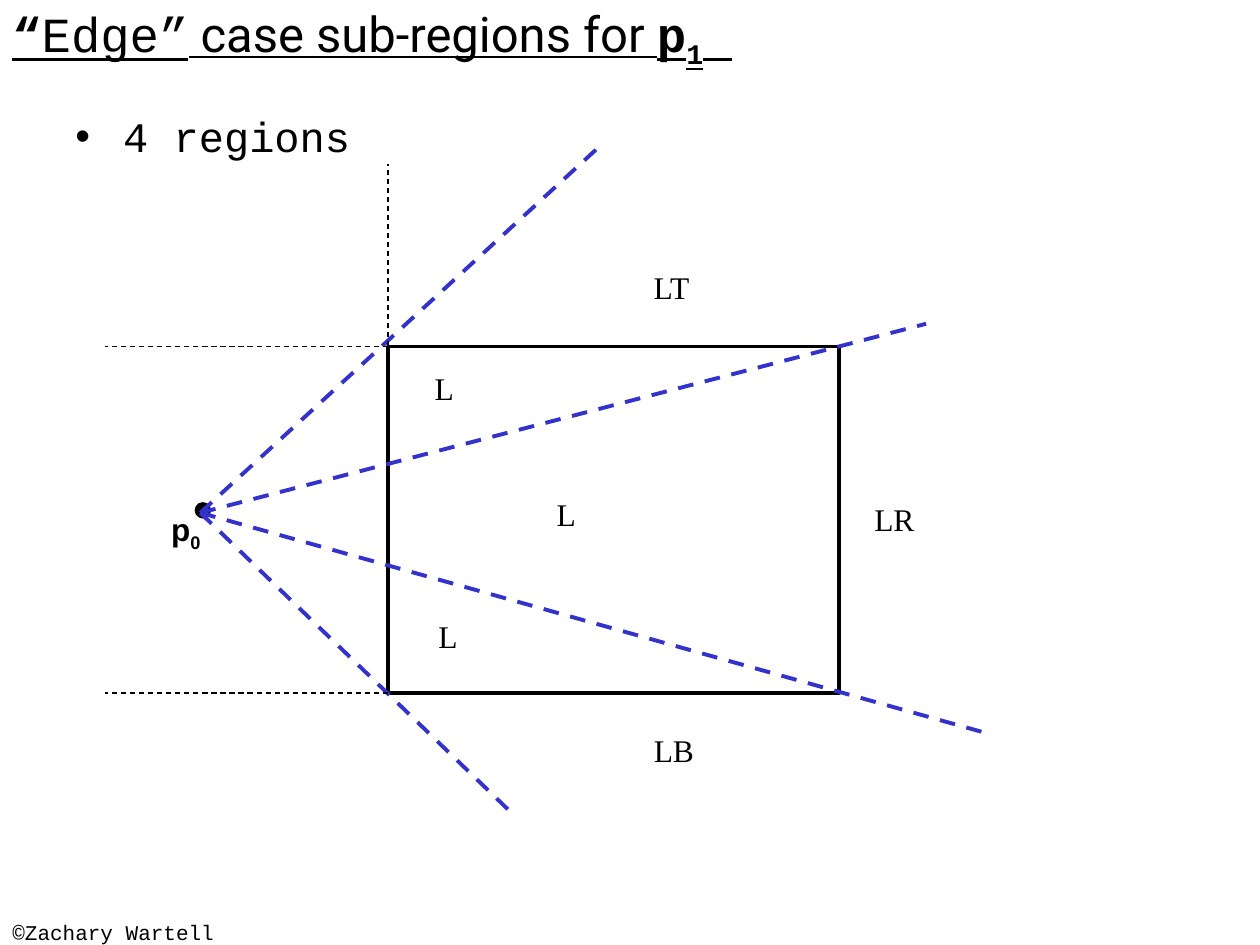
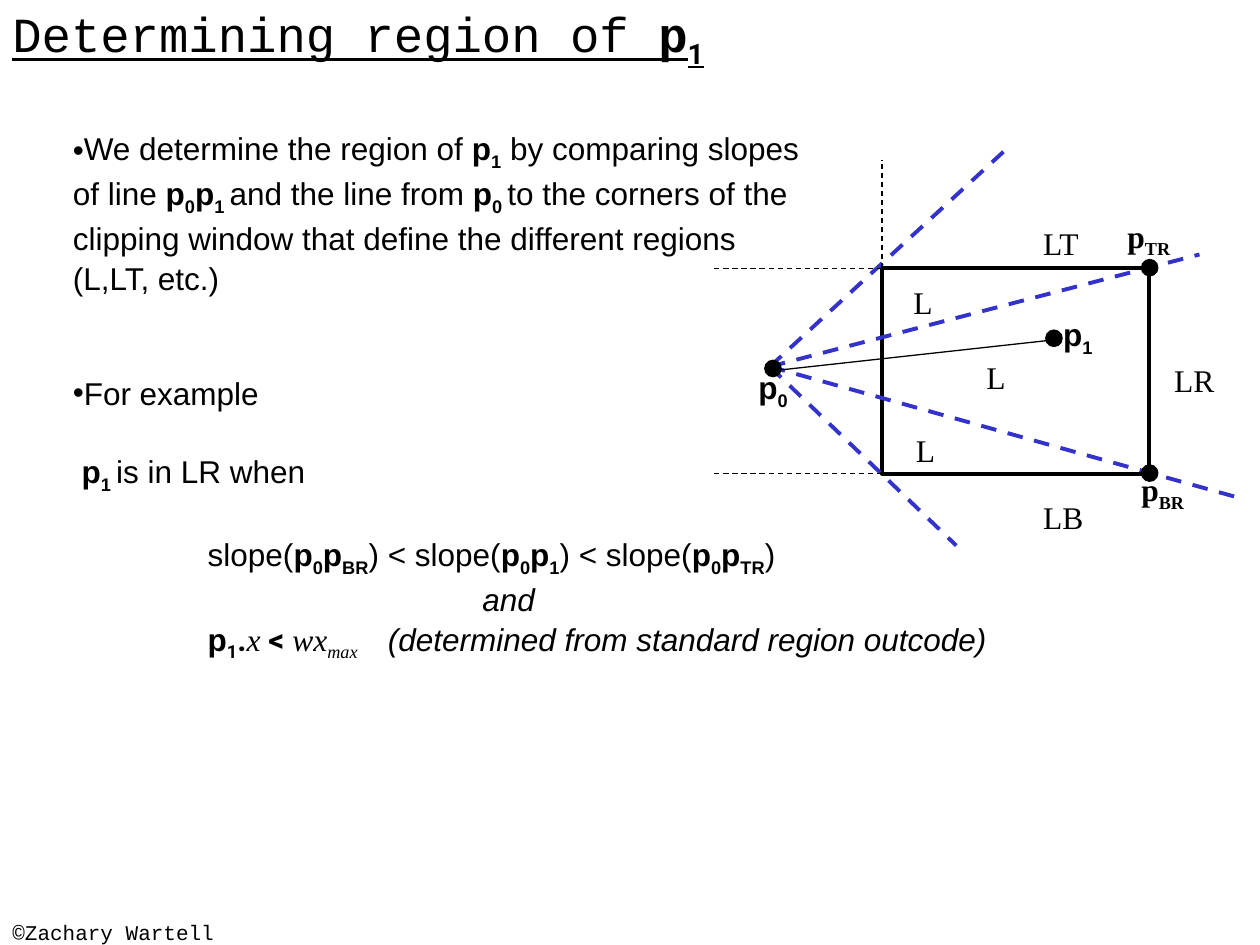
from dataclasses import dataclass, field

from lxml import etree
from pptx import Presentation
from pptx.dml.color import RGBColor
from pptx.enum.dml import MSO_LINE
from pptx.enum.shapes import MSO_CONNECTOR, MSO_SHAPE
from pptx.enum.text import MSO_ANCHOR, MSO_AUTO_SIZE
from pptx.oxml.ns import qn
from pptx.util import Emu, Pt

PX = 9144  # EMU per px, 100 px to the inch
STRAIGHT = MSO_CONNECTOR.STRAIGHT
RECTANGLE, OVAL = MSO_SHAPE.RECTANGLE, MSO_SHAPE.OVAL
DASH = MSO_LINE.DASH
MIDDLE, TOP = MSO_ANCHOR.MIDDLE, MSO_ANCHOR.TOP
FIT_SHAPE, FIXED = MSO_AUTO_SIZE.SHAPE_TO_FIT_TEXT, MSO_AUTO_SIZE.NONE


@dataclass(frozen=True)
class Theme:
    ink: RGBColor = RGBColor(0x00, 0x00, 0x00)
    ray: RGBColor = RGBColor(0x33, 0x33, 0xCC)
    mono: str = "Courier New"
    sans: str = "Arial"
    serif: str = "Times New Roman"
    display: str = "Roboto"
    title_size: int = 28
    bullet_size: int = 24
    text_size: int = 18
    footer_size: int = 12
    thin: float = 0.75
    thick: float = 2.25
    line_spacing: float = 1.05


THEME = Theme()


@dataclass(frozen=True)
class Box:
    left: int
    top: int
    width: int
    height: int

    @property
    def emu(self) -> tuple[Emu, ...]:
        return tuple(px(n) for n in (self.left, self.top, self.width, self.height))


@dataclass(frozen=True)
class Run:
    """A stretch of text; None keeps the font of its paragraph."""
    text: str
    font: str | None = None
    bold: bool | None = None
    italic: bool | None = None
    subscript: bool = False


@dataclass(frozen=True)
class Line:
    """A paragraph with its font and layout."""
    runs: tuple[Run, ...]
    font: str = THEME.sans
    size: int = THEME.text_size
    bold: bool = False
    italic: bool = False
    underline: bool = False
    bullet: bool = False
    margin: int = 0
    indent: int = 0
    tab: int | None = None
    space_before: float = 0
    spacing: float = 1.0


@dataclass(frozen=True)
class Label:
    box: Box
    line: Line


@dataclass(frozen=True)
class Diagram:
    """A clipping window seen from the point p0, with its rays and guides."""
    window: Box
    eye: tuple[int, int]
    ray_ends: tuple[tuple[int, int], ...]
    guide_left: int
    guide_top: int
    labels: tuple[Label, ...]
    dot_size: int
    dots_behind: tuple[tuple[int, int], ...] = ()
    dots_in_front: tuple[tuple[int, int], ...] = ()
    segments: tuple[tuple[tuple[int, int], tuple[int, int]], ...] = field(default=())


def px(length: int) -> Emu:
    return Emu(length * PX)


def point(subscript: str, font: str | None = None) -> tuple[Run, Run]:
    """The bold name of a point, such as p with a lowered 1."""
    return Run("p", bold=True), Run(subscript, font, bold=True, subscript=True)


def point_label(left: int, top: int, subscript: str, font: str = THEME.sans) -> Label:
    width = 54 if len(subscript) > 1 else 43
    runs = (Run("p"), Run(subscript, subscript=True))
    return Label(Box(left, top, width, 44), Line(runs, font, bold=True))


def region_label(left: int, top: int, name: str) -> Label:
    width = {"L": 35, "LT": 50}.get(name, 52)
    return Label(Box(left, top, width, 40), Line((Run(name),), THEME.serif))


def add_layout_marks(paragraph, line: Line) -> None:
    """Margins, bullet and tab stop, in the order the schema asks for."""
    properties = paragraph._p.get_or_add_pPr()
    properties.set("marL", str(px(line.margin)))
    properties.set("indent", str(px(line.indent)))
    if line.bullet:
        etree.SubElement(properties, qn("a:buFont"), typeface=THEME.sans)
        etree.SubElement(properties, qn("a:buChar"), char="•")
    else:
        etree.SubElement(properties, qn("a:buNone"))
    if line.tab is not None:
        tabs = etree.SubElement(properties, qn("a:tabLst"))
        etree.SubElement(tabs, qn("a:tab"), pos=str(px(line.tab)), algn="l")


def write_line(paragraph, line: Line) -> None:
    add_layout_marks(paragraph, line)
    paragraph.line_spacing = line.spacing
    if line.space_before:
        paragraph.space_before = Pt(line.space_before)
    font = paragraph.font
    font.name, font.size, font.bold = line.font, Pt(line.size), line.bold
    font.italic, font.underline = line.italic, line.underline
    font.color.rgb = THEME.ink
    for part in line.runs:
        if part.text == "\n":
            paragraph.add_line_break()
            continue
        run = paragraph.add_run()
        run.text = part.text
        if part.font:
            run.font.name = part.font
        run.font.bold, run.font.italic = part.bold, part.italic
        if part.subscript:
            run._r.get_or_add_rPr().set("baseline", "-25000")


def add_text(slide, box: Box, lines: tuple[Line, ...], wrap: bool = True,
             anchor=TOP, auto_size=FIXED) -> None:
    frame = slide.shapes.add_textbox(*box.emu).text_frame
    frame.word_wrap, frame.auto_size, frame.vertical_anchor = wrap, auto_size, anchor
    for index, line in enumerate(lines):
        write_line(frame.add_paragraph() if index else frame.paragraphs[0], line)


def add_line(slide, start: tuple[int, int], end: tuple[int, int],
             color: RGBColor = THEME.ink, width: float = THEME.thin, dashed: bool = True) -> None:
    connector = slide.shapes.add_connector(STRAIGHT, *(px(n) for n in (*start, *end)))
    connector.line.color.rgb, connector.line.width = color, Pt(width)
    if dashed:
        connector.line.dash_style = DASH
    etree.SubElement(connector._element.spPr, qn("a:effectLst"))


def add_outline(slide, kind, box: Box, width: float, filled: bool) -> None:
    shape = slide.shapes.add_shape(kind, *box.emu)
    shape.shadow.inherit = False
    shape.line.color.rgb, shape.line.width = THEME.ink, Pt(width)
    if filled:
        shape.fill.solid()
        shape.fill.fore_color.rgb = THEME.ink
    else:
        shape.fill.background()


def add_dots(slide, corners: tuple[tuple[int, int], ...], size: int) -> None:
    for left, top in corners:
        add_outline(slide, OVAL, Box(left, top, size, size), THEME.thin, True)


def add_diagram(slide, diagram: Diagram) -> None:
    window = diagram.window
    bottom = window.top + window.height
    add_outline(slide, RECTANGLE, window, THEME.thick, False)
    add_dots(slide, diagram.dots_behind, diagram.dot_size)
    for end in diagram.ray_ends:
        add_line(slide, diagram.eye, end, THEME.ray, THEME.thick)
    for label in diagram.labels:
        add_text(slide, label.box, (label.line,), wrap=False, auto_size=FIT_SHAPE)
    for y in (window.top, bottom):
        add_line(slide, (window.left, y), (diagram.guide_left, y))
    add_line(slide, (window.left, window.top), (window.left, diagram.guide_top))
    for start, end in diagram.segments:
        add_line(slide, start, end, dashed=False)
    add_dots(slide, diagram.dots_in_front, diagram.dot_size)


def add_slide(presentation, title: tuple[Run, ...], title_width: int):
    slide = presentation.slides.add_slide(presentation.slide_layouts[6])
    footer = Line((Run("©Zachary Wartell"),), THEME.mono, THEME.footer_size)
    add_text(slide, Box(0, 725, 317, 25), (footer,))
    heading = Line(title, THEME.mono, THEME.title_size, underline=True)
    add_text(slide, Box(0, 0, title_width, 58), (heading,), anchor=MIDDLE)
    return slide


EDGE_CASE = Diagram(
    window=Box(308, 275, 358, 275),
    eye=(159, 407),
    ray_ends=((475, 117), (735, 257), (787, 583), (409, 648)),
    guide_left=83,
    guide_top=130,
    labels=(
        point_label(126, 400, "0"),
        region_label(432, 388, "L"), region_label(335, 288, "L"), region_label(338, 485, "L"),
        region_label(509, 208, "LT"), region_label(684, 392, "LR"), region_label(509, 575, "LB"),
    ),
    dot_size=12,
    dots_behind=((155, 399),),
)

SLOPE_TEST = Diagram(
    window=Box(700, 213, 212, 163),
    eye=(611, 291),
    ray_ends=((798, 119), (952, 202), (983, 395), (759, 433)),
    guide_left=566,
    guide_top=127,
    labels=(
        point_label(592, 287, "0"), point_label(834, 245, "1"),
        region_label(773, 279, "L"), region_label(715, 220, "L"), region_label(717, 337, "L"),
        region_label(818, 173, "LT"), region_label(922, 282, "LR"), region_label(818, 390, "LB"),
        point_label(885, 167, "TR", THEME.serif), point_label(896, 368, "BR", THEME.serif),
    ),
    dot_size=13,
    dots_in_front=((830, 262), (607, 286), (906, 206), (906, 369)),
    segments=(((616, 294), (834, 270)),),
)


def region_rule_lines() -> tuple[Line, ...]:
    blank = 21.6  # height of one line in points
    spacing = THEME.line_spacing
    p0, p1 = point("0"), point("1")
    new_line = Run("\n")
    return (
        Line((Run("We determine the region of "), *p1, Run(" by comparing slopes"), new_line,
              Run("of line "), *p0, *point("1 "), Run("and the line from "), *point("0 "),
              Run("to the corners of the"), new_line,
              Run("clipping window that define the different regions"), new_line,
              Run("(L,LT, etc.)")), bullet=True, spacing=spacing),
        Line((Run("For example"),), bullet=True, space_before=2 * blank, spacing=spacing),
        Line((*point("1 "), Run("is in LR when")), indent=7, space_before=blank, spacing=spacing),
        Line((Run("slope("), *p0, *point("BR"), Run(") < slope("), *p0, *p1,
              Run(") < slope("), *p0, *point("TR"), Run(")")),
             indent=107, space_before=blank, spacing=spacing),
        Line((Run("and"),), italic=True, indent=325, spacing=spacing),
        Line((*point("1", THEME.display), Run(".", THEME.display, bold=True),
              Run("x", THEME.serif, italic=True), Run(" < ", THEME.display, bold=True),
              Run("wx", THEME.serif, italic=True),
              Run("max", THEME.serif, italic=True, subscript=True),
              Run("\t(determined from standard region outcode)", italic=True)),
             indent=107, tab=270, spacing=spacing),
    )


def main() -> None:
    presentation = Presentation()
    presentation.slide_width, presentation.slide_height = px(1000), px(750)

    edge_title = (Run("“", bold=True), Run("Edge”"), Run(" case sub-regions for ", THEME.display),
                  *point("1"), Run(" ", bold=True))
    slide = add_slide(presentation, edge_title, 900)
    regions = Line((Run("4 regions"),), THEME.mono, THEME.bullet_size,
                   bullet=True, margin=38, indent=-38)
    add_text(slide, Box(50, 83, 900, 495), (regions,))
    add_diagram(slide, EDGE_CASE)

    slope_title = (Run("Determining region of "), *point("1", THEME.display))
    slide = add_slide(presentation, slope_title, 967)
    add_text(slide, Box(48, 96, 785, 451), region_rule_lines(), auto_size=FIT_SHAPE)
    add_diagram(slide, SLOPE_TEST)

    presentation.save("out.pptx")


if __name__ == "__main__":
    main()
